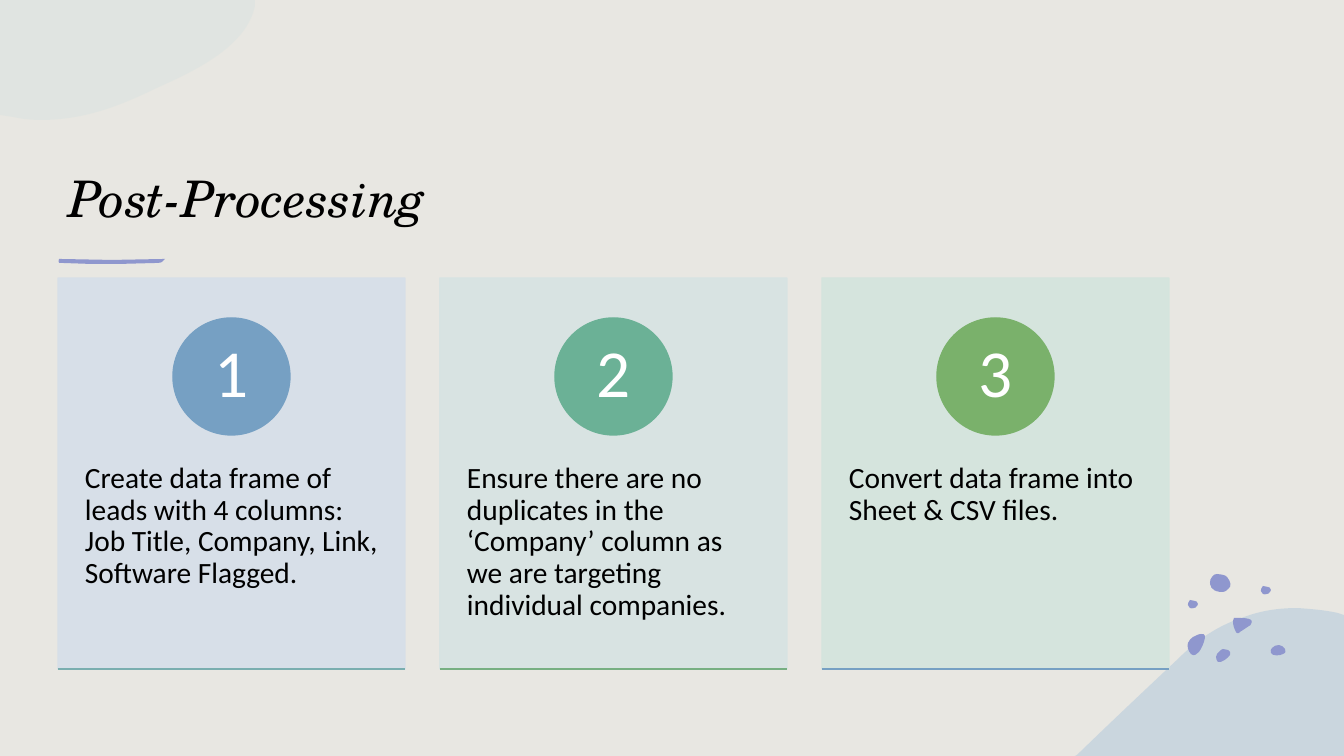
from lxml.etree import SubElement
from pptx import Presentation
from pptx.dml.color import RGBColor
from pptx.enum.shapes import MSO_CONNECTOR, MSO_SHAPE
from pptx.enum.text import MSO_ANCHOR, MSO_AUTO_SIZE, PP_ALIGN
from pptx.oxml.ns import qn
from pptx.util import Pt

PX = 12192000 / 1344
C = {"bg": "E8E7E2", "ink": "000000", "white": "FFFFFF",
     "mint": "CADFDF", "wave": "ADC6DB", "accent": "8F97CE",
     "blue": "76A0C3", "teal": "6BB196", "green": "7AB16B",
     "blue_card": "D6DFE9", "teal_card": "D7E3E3", "green_card": "D4E4DD",
     "teal_rule": "7AAEAF", "green_rule": "77AF82"}

BLOB = [(0, 0), (255, 0), (255, 6), (247, 44, 202, 68, 159, 87),
        (124, 104, 87, 120, 41, 120), (31, 120, 22, 119, 13, 117), (0, 115)]
WAVE = [(1298, 608), (1311, 609, 1325, 610, 1338, 613), (1344, 615),
        (1344, 756), (1075, 756), (1077, 755),
        (1111, 722, 1146, 689, 1178, 659), (1201, 636, 1222, 624, 1247, 616),
        (1264, 610, 1281, 608, 1298, 608)]
UNDERLINE = [(59, 259), (112, 260), (165, 259), (162, 260, 164, 263, 158, 263),
             (119, 264), (91, 264), (61, 263), (58, 264, 58, 260, 59, 259)]
PEBBLE = [(0, 5), (0, 5, 0, 1, 2, 0), (4, 0, 5, 0, 7, 1), (8, 1, 10, 2, 10, 4),
          (10, 5, 9, 6, 8, 7), (8, 7, 8, 8, 6, 8), (5, 8, 3, 9, 2, 8),
          (1, 6, 0, 6, 0, 5)]
SPOTS = [
    [(1223, 649), (1225, 649, 1226, 649, 1228, 650), (1230, 651, 1231, 653, 1230, 655),
     (1228, 658, 1222, 663, 1218, 662), (1217, 661, 1216, 659, 1216, 657),
     (1216, 655, 1218, 652, 1220, 651), (1221, 650, 1222, 649, 1223, 649)],
    [(1201, 634), (1203, 634, 1205, 634, 1205, 636), (1205, 638),
     (1204, 643, 1202, 648, 1199, 652), (1197, 654, 1194, 657, 1191, 654),
     (1188, 651, 1187, 646, 1188, 643), (1189, 640, 1191, 639, 1193, 637),
     (1194, 637, 1198, 634, 1201, 634)],
    [(1279, 645), (1281, 645, 1284, 647, 1285, 649), (1286, 651, 1286, 653, 1283, 654),
     (1280, 656, 1272, 656, 1271, 653), (1270, 651, 1271, 649, 1272, 648),
     (1274, 646, 1276, 645, 1279, 645)],
    [(1211, 586), (1210, 586, 1209, 580, 1212, 577), (1214, 575, 1214, 574, 1217, 574),
     (1220, 574, 1224, 575, 1226, 576), (1228, 578, 1232, 583, 1230, 587),
     (1227, 590, 1226, 592, 1222, 592), (1219, 592, 1214, 591, 1213, 589),
     (1211, 588, 1211, 587, 1211, 586)],
    [(1238, 618), (1244, 618, 1255, 618, 1251, 624), (1251, 625, 1250, 626, 1249, 626),
     (1246, 628, 1243, 630, 1240, 632), (1239, 633, 1238, 634, 1237, 633),
     (1236, 632), (1234, 628, 1233, 625, 1233, 621),
     (1233, 620, 1233, 619, 1234, 618)],
]
CARDS = [
    ("Create data frame of leads with 4 columns: Job Title, Company, Link, Software Flagged.",
     "blue_card", "blue", "teal_rule"),
    ("Ensure there are no duplicates in the ‘Company’ column as we are targeting individual companies.",
     "teal_card", "teal", "green_rule"),
    ("Convert data frame into Sheet & CSV files.", "green_card", "green", "blue"),
]

prs = Presentation()
prs.slide_width, prs.slide_height = round(1344 * PX), round(756 * PX)
s = prs.slides.add_slide(prs.slide_layouts[6])
s.background.fill.solid()
s.background.fill.fore_color.rgb = RGBColor.from_string(C["bg"])


def paint(sp, color, alpha=100, outlined=False):
    sp.shadow.inherit = False
    sp.fill.solid()
    sp.fill.fore_color.rgb = RGBColor.from_string(C[color])
    if outlined:
        sp.line.color.rgb = RGBColor.from_string(C[color])
        sp.line.width = Pt(1)
    else:
        sp.line.fill.background()
    if alpha < 100:
        for clr in sp._element.spPr.iter(qn("a:srgbClr")):
            SubElement(clr, qn("a:alpha"), val=str(alpha * 1000))


def add_text(box, text, size, font, color, inset, anchor, align=PP_ALIGN.LEFT):
    sp = s.shapes.add_shape(MSO_SHAPE.RECTANGLE, *[round(v * PX) for v in box])
    sp.shadow.inherit = False
    sp.fill.background()
    sp.line.fill.background()
    tf = sp.text_frame
    tf.word_wrap = True
    tf.auto_size = MSO_AUTO_SIZE.NONE
    tf.vertical_anchor = anchor
    tf.margin_left = tf.margin_right = round(inset[0] * PX)
    tf.margin_top = tf.margin_bottom = round(inset[1] * PX)
    p = tf.paragraphs[0]
    p.alignment = align
    p.line_spacing = 0.9
    r = p.add_run()
    r.text = text
    r.font.size = Pt(size)
    r.font.name = font
    r.font.color.rgb = RGBColor.from_string(C[color])
    return r


backdrop = s.shapes.add_shape(MSO_SHAPE.RECTANGLE, 0, 0, prs.slide_width, prs.slide_height)
paint(backdrop, "bg")

outlines = [(BLOB, 0, 0, "mint", 25), (UNDERLINE, 0, 0, "accent", 100),
            (WAVE, 0, 0, "wave", 50)]
outlines += [(spot, 0, 0, "accent", 100) for spot in SPOTS]
outlines += [(PEBBLE, 1261, 586, "accent", 100), (PEBBLE, 1188, 600, "accent", 100)]

for outline, dx, dy, color, alpha in outlines:
    ends = [((seg[-2] + dx) * PX, (seg[-1] + dy) * PX) for seg in outline]
    fb = s.shapes.build_freeform(*ends[0])
    fb.add_line_segments(ends[1:], close=True)
    sp = fb.convert_to_shape()
    paint(sp, color, alpha)
    lines = list(sp._element.iter(qn("a:lnTo")))
    for seg, line in zip(outline[1:], lines):
        if len(seg) == 6:
            line.tag = qn("a:cubicBezTo")
            line.remove(line[0])
            for x, y in zip(seg[::2], seg[1::2]):
                SubElement(line, qn("a:pt"), x=str(round((x + dx) * PX) - sp.left),
                           y=str(round((y + dy) * PX) - sp.top))

title = add_text((58, 87, 1111, 146), "Post-Processing", 36, "TeX Gyre Schola", "ink",
                 (10, 5), MSO_ANCHOR.BOTTOM)
title.font.italic = True

for i, (text, card, badge, rule) in enumerate(CARDS):
    x = 58 + 382 * i
    for preset, box, color, alpha in (
            (MSO_SHAPE.RECTANGLE, (x, 278, 347, 391), card, 90),
            (MSO_SHAPE.OVAL, (x + 115, 318, 117, 117), badge, 100)):
        sp = s.shapes.add_shape(preset, *[round(v * PX) for v in box])
        paint(sp, color, alpha, outlined=True)
    add_text((x, 427, 347, 235), text, 21, "Calibri", "ink", (27, 36), MSO_ANCHOR.TOP)
    add_text((x + 132, 334, 83, 83), str(i + 1), 48, "Calibri", "white", (9, 1),
             MSO_ANCHOR.MIDDLE, PP_ALIGN.CENTER)
    ln = s.shapes.add_connector(MSO_CONNECTOR.STRAIGHT,
                                *[round(v * PX) for v in (x, 669, x + 347, 669)])
    ln.line.color.rgb = RGBColor.from_string(C[rule])
    ln.line.width = Pt(1)
    SubElement(ln._element.spPr, qn("a:effectLst"))

prs.save("out.pptx")
